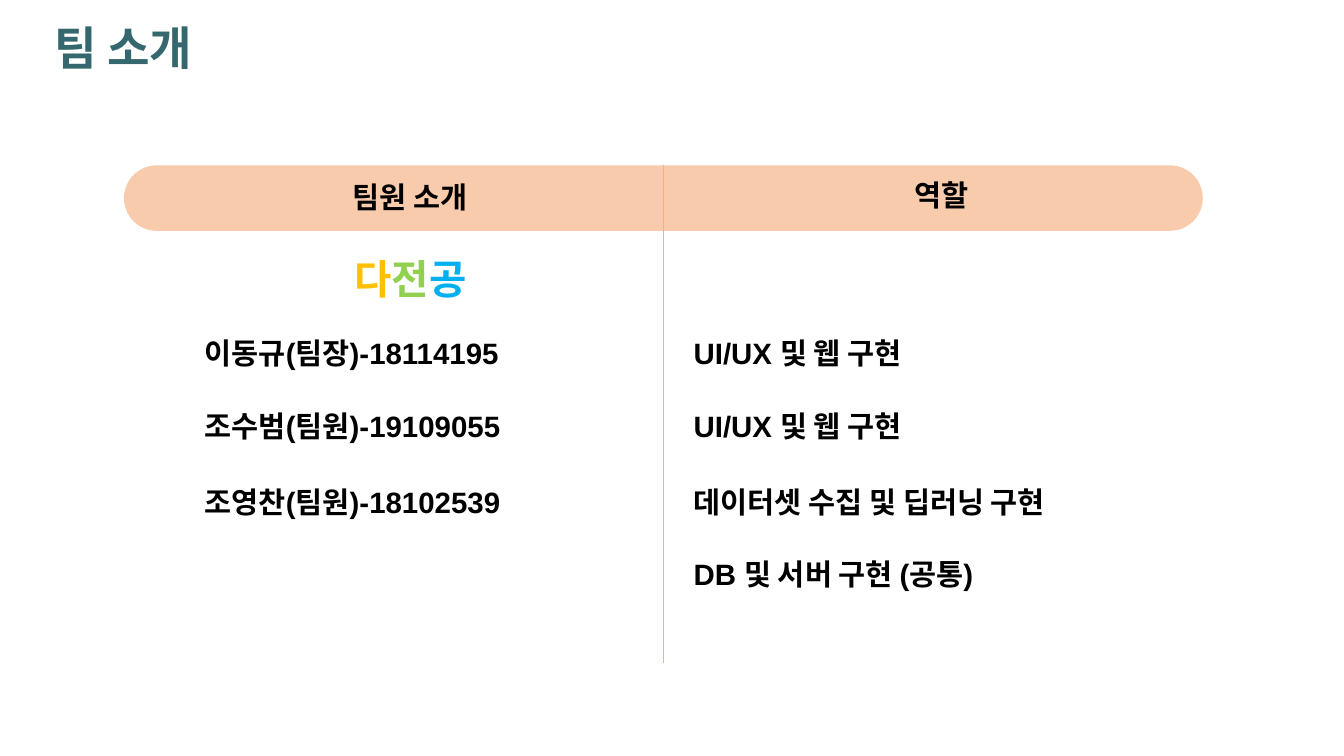
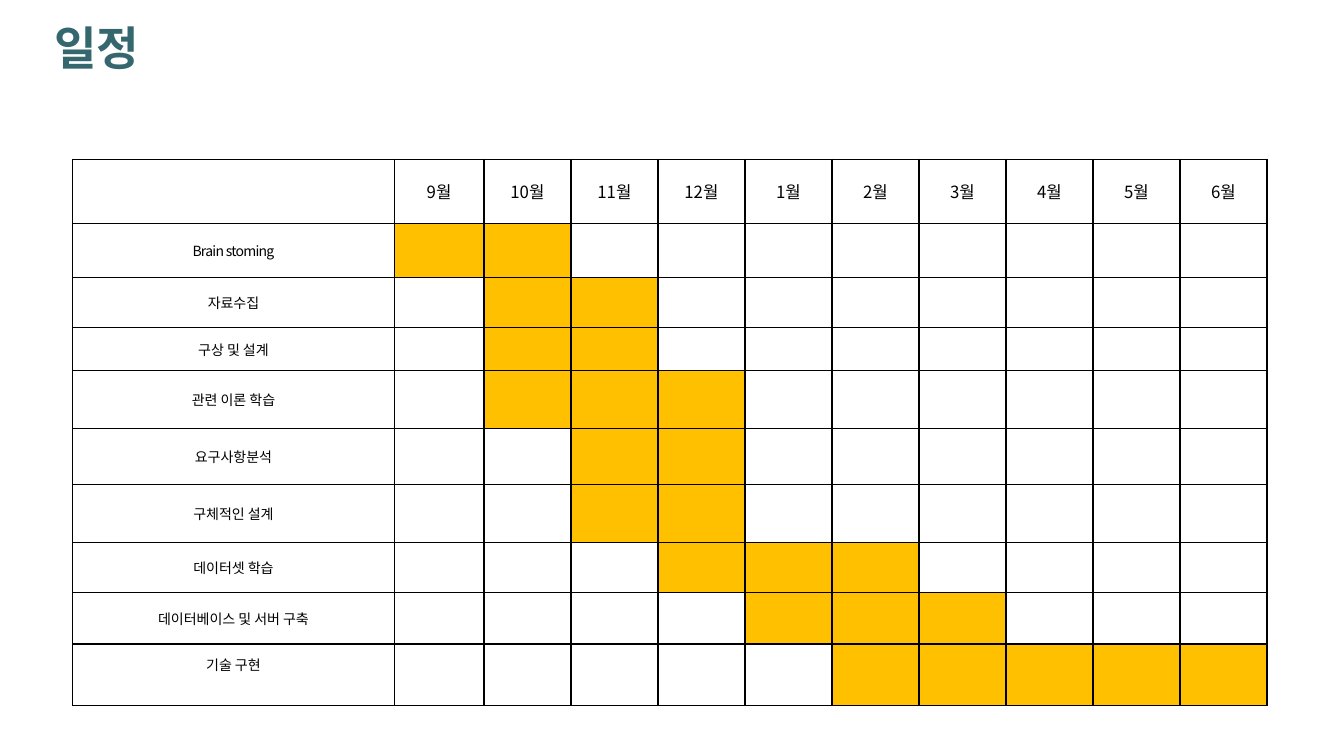
from dataclasses import dataclass

from lxml.etree import SubElement
from pptx import Presentation
from pptx.dml.color import RGBColor as RGB
from pptx.enum.shapes import MSO_CONNECTOR as Link, MSO_SHAPE as Kind
from pptx.enum.text import MSO_ANCHOR as Anchor, MSO_AUTO_SIZE as Fit, PP_ALIGN as Align
from pptx.oxml import parse_xml
from pptx.oxml.ns import nsdecls, qn
from pptx.util import Pt

PX = 9144  # 100 px to the inch
COLOR = {
    "title": "35686E", "text": "000000", "white": "FFFFFF", "band": "F8CBAD",
    "rule": "F4B183", "gold": "FFC000", "green": "92D050", "blue": "00B0F0",
}
SANS, LATIN = "Noto Sans CJK KR", "Arial"
INSET = {"margin_left": 12, "margin_right": 12, "margin_top": 6, "margin_bottom": 6}
PAD = {"margin_left": 10, "margin_right": 10, "margin_top": 4, "margin_bottom": 4}
COLS, ROWS = 11, [64, 53, 50, 43, 57, 56, 57, 50, 51, 61]
MONTHS = [9, 10, 11, 12, 1, 2, 3, 4, 5, 6]


@dataclass(frozen=True)
class Style:
    size: int
    face: str = SANS
    color: str = "text"
    bold: bool = True
    align: Align = Align.LEFT
    anchor: Anchor = Anchor.BOTTOM


@dataclass(frozen=True)
class Label:
    text: str
    x: int
    y: int
    w: int
    h: int = 47


@dataclass(frozen=True)
class Task:
    """A row of the plan, with its first month column and month count."""
    name: str
    start: int
    span: int


TITLE = Style(33, color="title", anchor=Anchor.MIDDLE)
HEAD = Style(21, align=Align.CENTER)
TEAM = Style(29, align=Align.CENTER)
BODY = Style(21, face=LATIN)
MONTH = Style(12, bold=False)
TASK = Style(10, bold=False)

HEADS = [Label("팀원 소개", 240, 172, 334), Label("역할", 767, 170, 334)]
LINES = [326, 399, 474, 546]
PEOPLE = ["이동규(팀장)-18114195", "조수범(팀원)-19109055", "조영찬(팀원)-18102539"]
ROLES = ["UI/UX 및 웹 구현", "UI/UX 및 웹 구현", "데이터셋 수집 및 딥러닝 구현",
         "DB 및 서버 구현 (공통)"]
TASKS = [
    Task("Brain stoming", 1, 2),
    Task("자료수집", 2, 2),
    Task("구상 및 설계", 2, 2),
    Task("관련 이론 학습", 2, 3),
    Task("요구사항분석", 3, 2),
    Task("구체적인 설계", 3, 2),
    Task("데이터셋 학습", 4, 3),
    Task("데이터베이스 및 서버 구축", 5, 3),
    Task("기술 구현", 6, 5),
]


def assign(item, values: dict) -> None:
    for name, value in values.items():
        setattr(item, name, value)


def emu(values: dict) -> dict:
    return {name: value * PX for name, value in values.items()}


def hue(name: str) -> RGB:
    return RGB.from_string(COLOR[name])


def paint(item, name: str) -> None:
    item.fill.solid()
    item.fill.fore_color.rgb = hue(name)


def write(para, text: str, style: Style, color: str = ""):
    run = para.add_run()
    run.text = text
    assign(run.font, {"size": Pt(style.size), "bold": style.bold, "name": style.face})
    run.font.color.rgb = hue(color or style.color)
    SubElement(run.font._element, qn("a:ea")).set("typeface", SANS)
    return run


def place(slide, label: Label, style: Style, tints: tuple = ()):
    """Add a text box; tints colour its letters one by one."""
    box = slide.shapes.add_textbox(*(n * PX for n in (label.x, label.y, label.w, label.h)))
    frame = box.text_frame
    assign(frame, {**emu(INSET), "word_wrap": True, "auto_size": Fit.SHAPE_TO_FIT_TEXT,
                   "vertical_anchor": style.anchor})
    para = frame.paragraphs[0]
    para.alignment = style.align
    if tints:
        for char, tint in zip(label.text, tints):
            write(para, char, style, tint)
    else:
        write(para, label.text, style)
    return para


def start(deck, title: str, width: int):
    slide = deck.slides.add_slide(deck.slide_layouts[6])
    place(slide, Label(title, 42, 19, width, 62), TITLE).line_spacing = 0.9
    return slide


def panel(slide, y: int, h: int, color: str):
    shape = slide.shapes.add_shape(Kind.ROUNDED_RECTANGLE, 123 * PX, y * PX, 1070 * PX, h * PX)
    shape.shadow.inherit = False
    paint(shape, color)
    return shape


def team(deck) -> None:
    slide = start(deck, "팀 소개", 451)
    card = panel(slide, 169, 489, "white")
    card.line.color.rgb = hue("white")
    card.line.width = Pt(1)
    band = panel(slide, 164, 65, "band")
    band.adjustments[0] = 0.5
    band.line.fill.background()

    rule = slide.shapes.add_connector(Link.STRAIGHT, 0, 0, 0, 0)
    rule.begin_connect(band, 0)
    rule.end_connect(card, 2)
    rule.line.color.rgb = hue("rule")
    rule.line.width = Pt(0.5)
    SubElement(rule._element.spPr, qn("a:effectLst"))

    for head in HEADS:
        place(slide, head, HEAD)
    place(slide, Label("다전공", 240, 245, 334, 61), TEAM, ("gold", "green", "blue"))
    for x, texts in ((191, PEOPLE), (676, ROLES)):
        for y, text in zip(LINES, texts):
            place(slide, Label(text, x, y, 537), BODY)


def border(cell) -> None:
    props = cell._tc.get_or_add_tcPr()
    for spot, side in enumerate("LRTB"):
        props.insert(spot, parse_xml(
            f'<a:ln{side} {nsdecls("a")} w="12700"><a:solidFill>'
            f'<a:srgbClr val="{COLOR["text"]}"/></a:solidFill></a:ln{side}>'))


def entry(cell, text: str, style: Style):
    para = cell.text_frame.paragraphs[0]
    para.alignment = Align.CENTER
    return write(para, text, style)


def plan(deck) -> None:
    slide = start(deck, "일정", 1097)
    grid = slide.shapes.add_table(len(ROWS), COLS, 72 * PX, 158 * PX,
                                  1185 * PX, sum(ROWS) * PX).table
    assign(grid, {"first_row": False, "horz_banding": False})
    rest = (1185 - 319 - 89) * PX // 9
    for col, width in zip(grid.columns, [319 * PX, 89 * PX] + [rest] * 9):
        col.width = width
    for row, height in zip(grid.rows, ROWS):
        row.height = height * PX
    for cell in grid.iter_cells():
        assign(cell, {**emu(PAD), "vertical_anchor": Anchor.MIDDLE})
        paint(cell, "white")
        border(cell)

    for col, month in enumerate(MONTHS, 1):
        entry(grid.cell(0, col), f"{month}월", MONTH)
    for row, task in enumerate(TASKS, 1):
        run = entry(grid.cell(row, 0), task.name, TASK)
        if task.name.isascii():
            run.font._element.set("spc", "-50")
        for col in range(task.start, task.start + task.span):
            paint(grid.cell(row, col), "gold")
    grid.cell(len(TASKS), 0).margin_bottom = 24 * PX


def main() -> None:
    deck = Presentation()
    assign(deck, emu({"slide_width": 1333, "slide_height": 750}))
    team(deck)
    plan(deck)
    deck.save("out.pptx")


if __name__ == "__main__":
    main()
